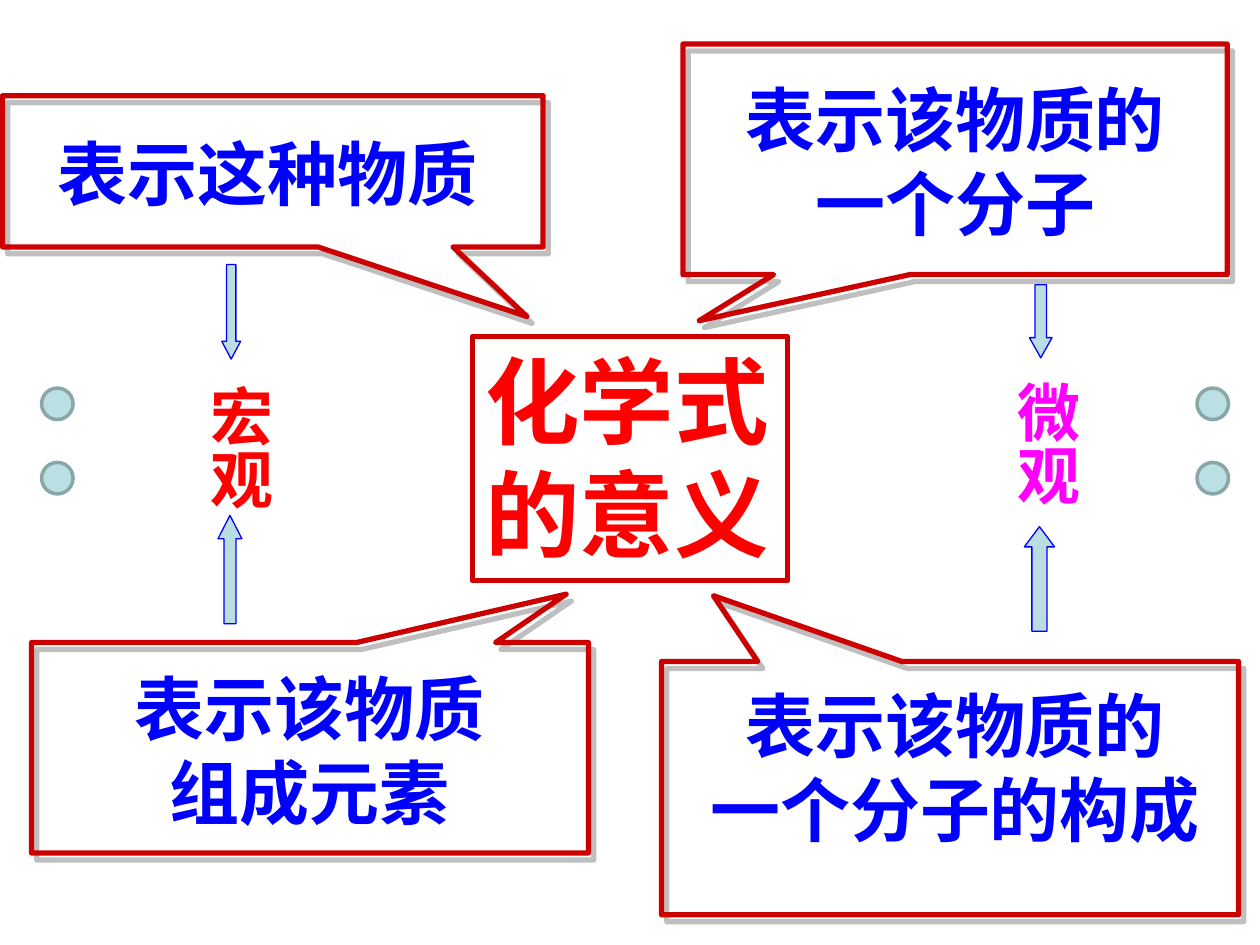
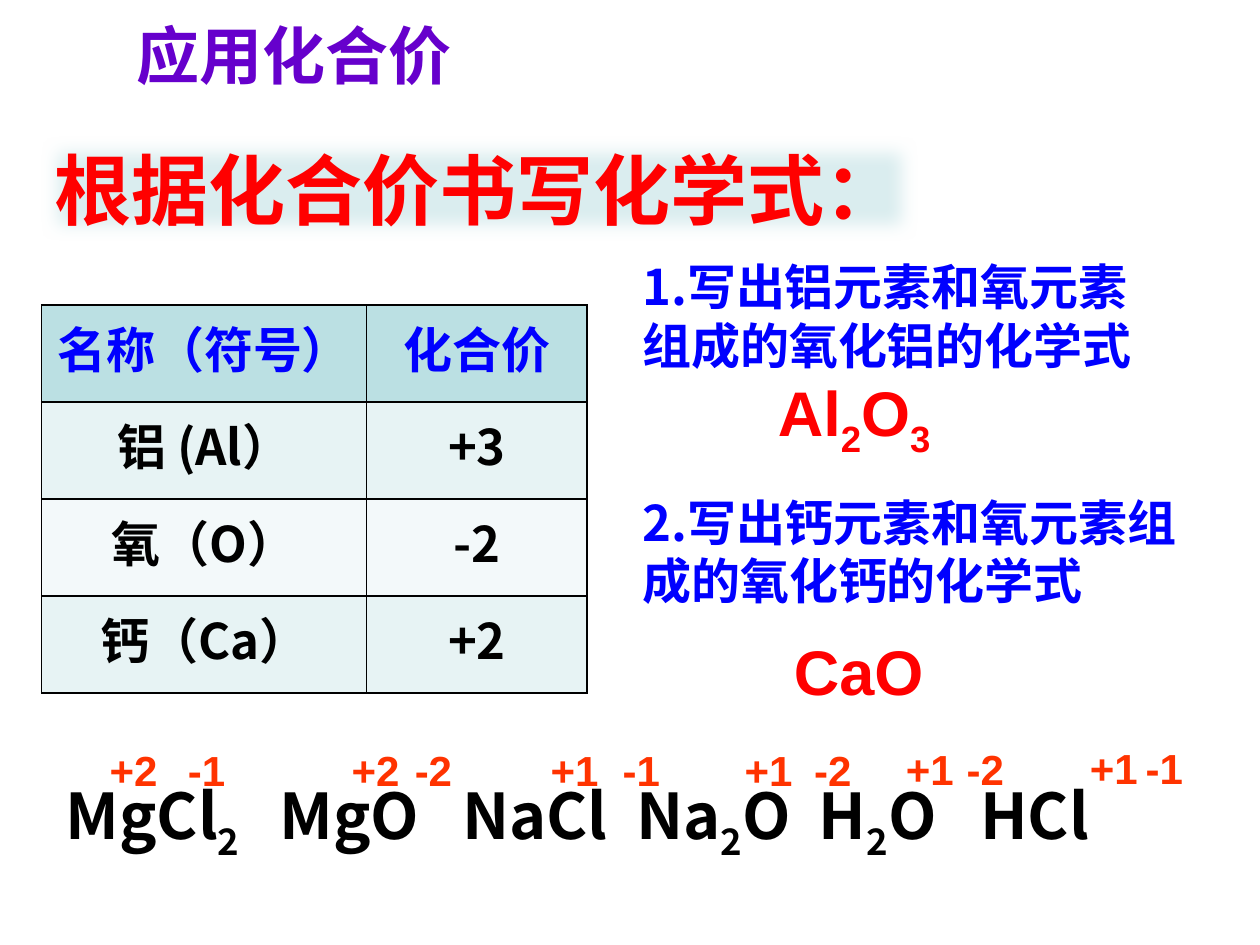
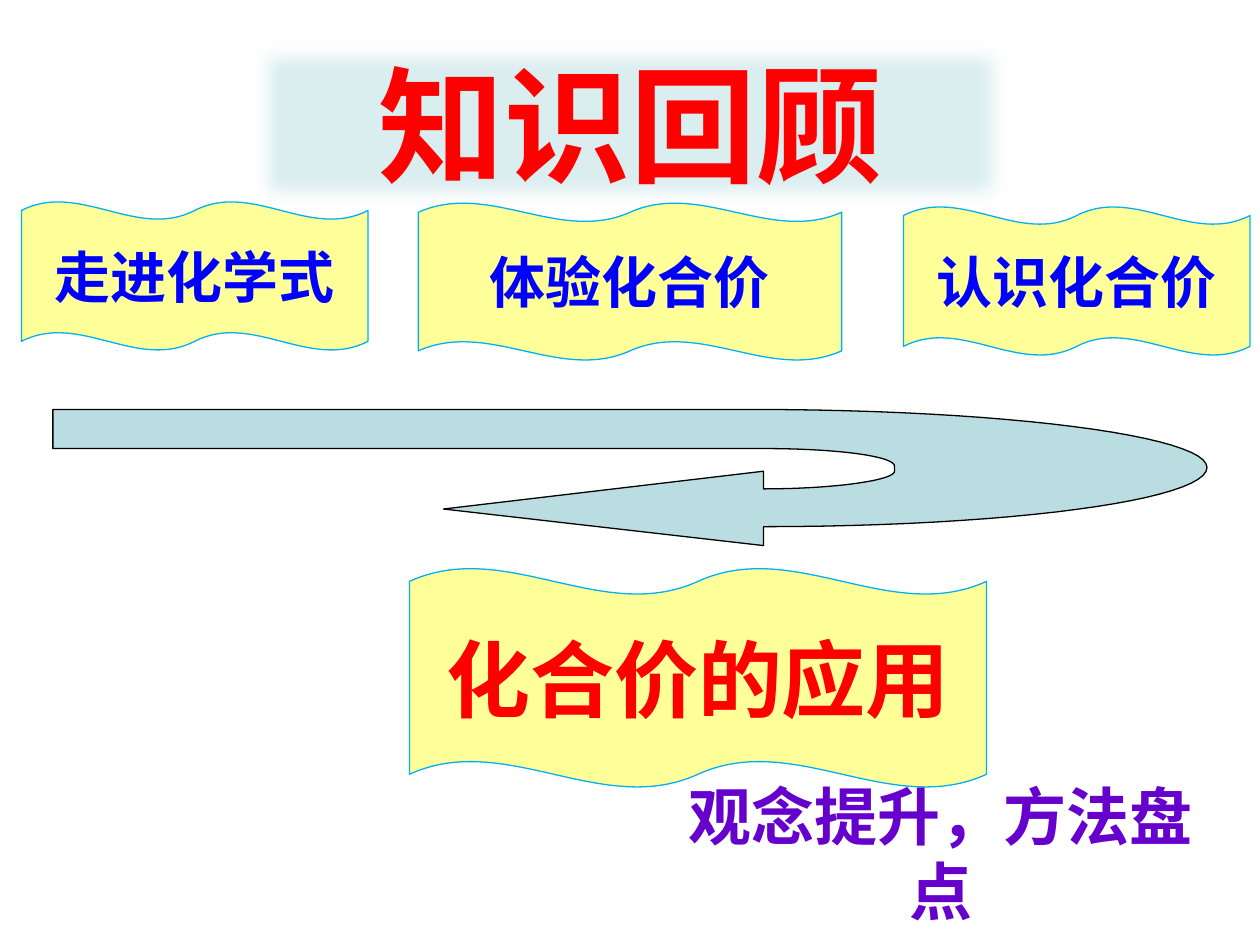
from itertools import groupby

from lxml.etree import SubElement
from pptx import Presentation
from pptx.dml.color import RGBColor
from pptx.enum.shapes import MSO_SHAPE as Preset
from pptx.enum.text import MSO_ANCHOR as Anchor, MSO_AUTO_SIZE as AutoSize, PP_ALIGN as Align
from pptx.oxml.ns import qn
from pptx.util import Inches, Pt

COLORS = {
    "red": "FF0000", "crimson": "CC0000", "orange": "FF3300", "blue": "0000FF",
    "magenta": "FF00FF", "purple": "6600CC", "violet": "CC00CC", "black": "000000",
    "teal": "BADDE1", "header": "BBE0E3", "odd_row": "E7F3F4", "even_row": "F3F9FA",
    "mist": "DAEDEF", "dot_line": "8AA6A8", "shadow": "808080",
    "yellow": "FFFF99", "sky": "00B0F0",
}
HAN, LATIN = "Noto Sans CJK SC", "Arial"
LINE_HEIGHT = 1.2


def rgb(name):
    return RGBColor.from_string(COLORS[name])


def add_solid(parent, color):
    fill = SubElement(parent, qn("a:solidFill"))
    SubElement(fill, qn("a:srgbClr"), val=COLORS[color])


def curve(start, control_1, control_2, end, steps=24):
    """Points along a cubic Bezier curve, without its start."""
    points = []
    for step in range(1, steps + 1):
        t = step / steps
        weights = ((1 - t) ** 3, 3 * t * (1 - t) ** 2, 3 * t * t * (1 - t), t ** 3)
        corners = (start, control_1, control_2, end)
        points.append(tuple(sum(w * c[axis] for w, c in zip(weights, corners))
                            for axis in (0, 1)))
    return points


class Deck:
    def __init__(self):
        self.show = Presentation()
        self.show.slide_width, self.show.slide_height = Inches(10), Inches(7.5)
        self.slide = None

    def new_slide(self):
        self.slide = self.show.slides.add_slide(self.show.slide_layouts[5])

    # Text
    def format_run(self, run, size, color, font):
        run.font.size, run.font.bold, run.font.name = Pt(size), True, font
        if color == "purple":
            run.font.fill.gradient()
            run.font.fill.gradient_angle = 270
            for stop, name in zip(run.font.fill.gradient_stops, ("purple", "violet")):
                stop.color.rgb = rgb(name)
        else:
            run.font.color.rgb = rgb(color)
        SubElement(run._r.get_or_add_rPr(), qn("a:ea"), typeface=HAN)

    def set_text(self, frame, text, size, color, font=HAN, align=Align.CENTER, formula=False):
        frame.text = text
        for paragraph in frame.paragraphs:
            paragraph.alignment = align
            paragraph.line_spacing = Pt(size * LINE_HEIGHT)
            if formula:
                self.split_subscripts(paragraph)
            for run in paragraph.runs:
                self.format_run(run, size, color, font)

    def split_subscripts(self, paragraph):
        pieces = groupby(paragraph.text, str.isdigit)
        pieces = [(is_digit, "".join(letters)) for is_digit, letters in pieces]
        paragraph.clear()
        for is_digit, letters in pieces:
            run = paragraph.add_run()
            run.text = letters
            if is_digit:
                run._r.get_or_add_rPr().set("baseline", "-25000")

    def text(self, box, text, size, color, wrap=True, vertical=False, **style):
        label = self.slide.shapes.add_textbox(*map(Inches, box))
        frame = label.text_frame
        frame.word_wrap = wrap
        if vertical:
            frame._txBody.bodyPr.set("vert", "eaVert")
        self.set_text(frame, text, size, color, **style)
        return frame

    def title(self, box, text, size, fill=None, line=None, **style):
        title = self.slide.shapes.title
        title.left, title.top, title.width, title.height = map(Inches, box)
        self.paint(title, fill, line, 3)
        frame = title.text_frame
        frame.auto_size, frame.vertical_anchor = AutoSize.NONE, Anchor.TOP
        frame.word_wrap = False
        self.set_text(frame, text, size, "red", **style)
        if fill:
            self.effect(title, "a:softEdge", rad="127000")

    # Shapes
    def paint(self, shape, fill, line, weight):
        shape.shadow.inherit = False
        if fill:
            shape.fill.solid()
            shape.fill.fore_color.rgb = rgb(fill)
        else:
            shape.fill.background()
        if line:
            shape.line.color.rgb = rgb(line)
            shape.line.width = Pt(weight)
        else:
            shape.line.fill.background()

    def effect(self, shape, tag, **attributes):
        effects = shape._element.spPr.find(qn("a:effectLst"))
        return SubElement(effects, qn(tag), **attributes)

    def shape(self, preset, box, fill, line, weight=0.75, adjust=()):
        shape = self.slide.shapes.add_shape(preset, *map(Inches, box))
        for index, value in enumerate(adjust):
            shape.adjustments[index] = value
        self.paint(shape, fill, line, weight)
        return shape

    def callout(self, box, tip, text_box, text):
        bubble = self.shape(Preset.RECTANGULAR_CALLOUT, box, None, "crimson", 3, tip)
        shadow = self.effect(bubble, "a:outerShdw", dist=str(Pt(5)), dir=str(53 * 60000),
                             algn="ctr", rotWithShape="0")
        shade = SubElement(shadow, qn("a:srgbClr"), val=COLORS["shadow"])
        SubElement(shade, qn("a:alpha"), val="50000")
        self.text(text_box, text, 40, "blue")

    def wave(self, box, text, size, color):
        wave = self.shape(Preset.DOUBLE_WAVE, box, "yellow", "sky", adjust=(0.06, 0))
        wave.text_frame.word_wrap = False
        wave.text_frame.vertical_anchor = Anchor.MIDDLE
        self.set_text(wave.text_frame, text, size, color)

    def outline(self, points, fill, line):
        points = [tuple(map(Inches, point)) for point in points]
        builder = self.slide.shapes.build_freeform(*points[0])
        builder.add_line_segments(points[1:], close=True)
        self.paint(builder.convert_to_shape(), fill, line, 0.75)

    # Table
    def table(self, box, widths, rows):
        table = self.slide.shapes.add_table(len(rows), len(widths),
                                            *map(Inches, box)).table
        for column, width in zip(table.columns, widths):
            column.width = Inches(width)
        for row_index, row in enumerate(rows):
            band = "odd_row" if row_index % 2 else "even_row"
            for column_index, text in enumerate(row):
                cell = table.cell(row_index, column_index)
                cell.vertical_anchor = Anchor.MIDDLE
                self.set_text(cell.text_frame, text, 28, "black" if row_index else "blue")
                self.border(cell)
                cell.fill.solid()
                cell.fill.fore_color.rgb = rgb(band if row_index else "header")

    def border(self, cell):
        properties = cell._tc.get_or_add_tcPr()
        for side in ("a:lnL", "a:lnR", "a:lnT", "a:lnB"):
            add_solid(SubElement(properties, qn(side), w=str(Pt(1))), "black")


def meaning_slide(deck):
    deck.new_slide()
    deck.title((3.75, 2.67, 2.5, 1.94), "化学式\n的意义", 54, line="crimson", align=Align.LEFT)

    # Macro and micro views, each between two arrows
    views = (
        ("微观", "magenta", (7.86, 2.93, 0.8, 1.34),
         (8.13, 4.18, 0.24, 0.83), 0.67, (8.17, 2.26, 0.18, 0.58), 0.89),
        ("宏观", "red", (1.45, 2.96, 0.8, 1.35),
         (1.73, 4.09, 0.19, 0.86), 0.98, (1.76, 2.1, 0.15, 0.75), 0.94),
    )
    for view, color, box, up, up_head, down, down_head in views:
        deck.shape(Preset.UP_ARROW, up, "teal", "blue", adjust=(0.5, up_head))
        deck.shape(Preset.DOWN_ARROW, down, "teal", "blue", adjust=(0.5, down_head))
        deck.text(box, view, 36, color, vertical=True, align=Align.LEFT)

    # Four meanings pointing at the centre
    deck.callout((0.02, 0.76, 4.29, 1.2), (0.47, 0.96), (0, 0.99, 4.25, 0.77),
                 "表示这种物质")
    deck.callout((5.42, 0.35, 4.32, 1.83), (-0.47, 0.7), (5.49, 0.56, 4.18, 1.43),
                 "表示该物质的\n一个分子")
    deck.callout((0.25, 5.1, 4.42, 1.67), (0.46, -0.73), (0.58, 5.23, 3.75, 1.43),
                 "表示该物质\n组成元素")
    deck.callout((5.25, 5.25, 4.58, 2.01), (-0.41, -0.76), (5.33, 5.37, 4.5, 1.43),
                 "表示该物质的\n一个分子的构成")

    # Side dots
    for left in (9.5, 0.33):
        for top in (3.08, 3.67):
            deck.shape(Preset.OVAL, (left, top, 0.25, 0.25), "header", "dot_line", 2)


def valence_slide(deck):
    deck.new_slide()
    deck.title((0.33, 1.08, 6.95, 0.83), "根据化合价书写化学式：", 44, fill="mist",
               align=Align.LEFT)
    deck.text((0.25, 0.08, 4.17, 0.92), "应用化合价", 36, "purple", wrap=False)

    deck.table((0.33, 2.42, 4.33, 3.08), (2.58, 1.75), (
        ("名称（符号）", "化合价"),
        ("铝 (Al）", "+3"),
        ("氧（O）", "-2"),
        ("钙（Ca）", "+2"),
    ))

    # Exercises and answers
    exercises = deck.text(
        (5, 1.99, 4.67, 2.9),
        "1.写出铝元素和氧元素\n组成的氧化铝的化学式\n2.写出钙元素和氧元素组成的氧化钙的化学式",
        28, "blue", align=Align.LEFT)
    exercises.paragraphs[2].space_before = Pt(2 * 28 * LINE_HEIGHT)
    for box, answer in (((6.05, 3, 1.46, 0.7), "Al2O3"), ((6.2, 4.97, 1.23, 0.7), "CaO")):
        deck.text(box, answer, 36, "red", wrap=False, font=LATIN, formula=True)

    # Formulas on tab stops, with the valences centred above them
    compounds = (
        ("MgCl2", 0.17, 5.86, (("+2", 1.06), ("-1", 1.64))),
        ("MgO", 1.87, 5.86, (("+2", 2.98), ("-2", 3.44))),
        ("NaCl", 3.32, 5.86, (("+1", 4.56), ("-1", 5.09))),
        ("Na2O", 4.7, 5.86, (("+1", 6.1), ("-2", 6.61))),
        ("H2O", 6.15, 5.85, (("+1", 7.38), ("-2", 7.82))),
        ("HCl", 7.43, 5.84, (("+1", 8.84), ("-1", 9.24))),
    )
    row = "".join("\t" + compound[0] for compound in compounds)
    formulas = deck.text((0.25, 6.2, 9.42, 0.71), row, 36, "black",
                         align=Align.LEFT, formula=True)
    tabs = SubElement(formulas.paragraphs[0]._p.get_or_add_pPr(), qn("a:tabLst"))
    for _, stop, top, valences in compounds:
        SubElement(tabs, qn("a:tab"), pos=str(Inches(stop)), algn="l")
        for valence, center in valences:
            deck.text((center - 0.42, top, 0.84, 0.5), valence, 24, "orange", font=LATIN)


def review_slide(deck):
    deck.new_slide()
    deck.title((2, 0.33, 6, 1.31), "知识回顾", 72, fill="mist", font=LATIN)

    # Arrow turning back from the topics to their use
    deck.outline([
        (3.52, 4.04), (6.06, 4.33), (6.06, 4.18),
        *curve((6.06, 4.18), (8, 4.18), (9.58, 3.97), (9.58, 3.71)),
        *curve((9.58, 3.71), (9.58, 3.46), (7.97, 3.25), (5.98, 3.25)),
        (0.42, 3.25), (0.42, 3.56), (6.06, 3.56),
        *curve((6.06, 3.56), (6.64, 3.56), (7.1, 3.62), (7.1, 3.7)),
        (7.1, 3.74),
        *curve((7.1, 3.74), (7.1, 3.81), (6.64, 3.88), (6.06, 3.88)),
        (6.06, 3.74),
    ], "teal", "black")

    # Topics
    for box, topic in (
        ((7.17, 1.64, 2.75, 1.18), "认识化合价"),
        ((3.32, 1.61, 3.36, 1.25), "体验化合价"),
        ((0.17, 1.6, 2.75, 1.18), "走进化学式"),
    ):
        deck.wave(box, topic, 32, "blue")
    deck.wave((3.25, 4.51, 4.58, 1.74), "化合价的应用", 48, "red")
    deck.text((5.17, 6.12, 4.59, 1.12), "观念提升，方法盘点", 36, "purple", wrap=False)


def main():
    deck = Deck()
    meaning_slide(deck)
    valence_slide(deck)
    review_slide(deck)
    deck.show.save("out.pptx")


if __name__ == "__main__":
    main()
